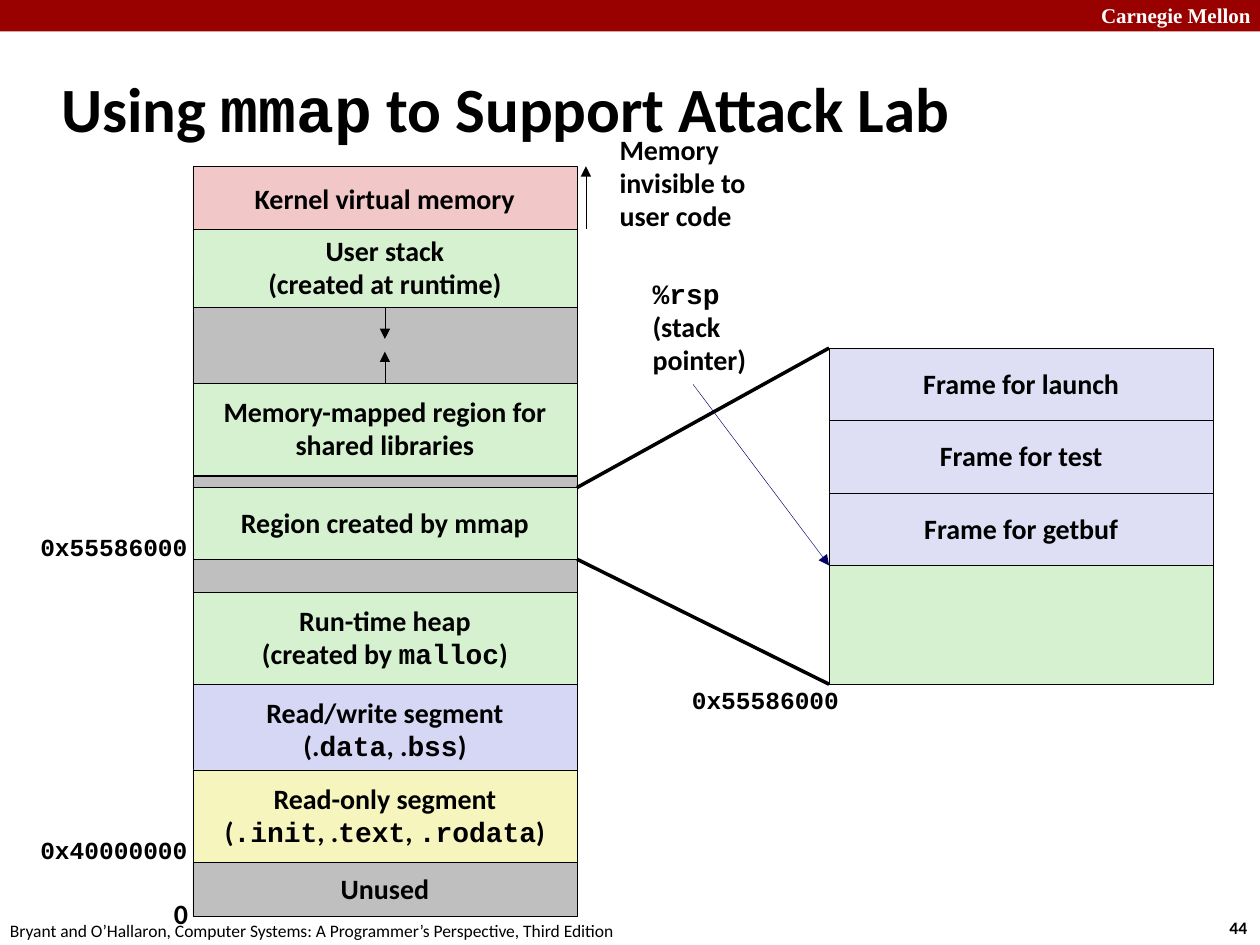
from dataclasses import dataclass
from typing import Optional

from lxml import etree
from pptx import Presentation
from pptx.dml.color import RGBColor
from pptx.enum.shapes import MSO_CONNECTOR, MSO_SHAPE
from pptx.enum.text import MSO_ANCHOR, PP_ALIGN
from pptx.oxml.ns import qn
from pptx.util import Pt

RECTANGLE = MSO_SHAPE.RECTANGLE
STRAIGHT = MSO_CONNECTOR.STRAIGHT
LEFT, CENTER, RIGHT = PP_ALIGN.LEFT, PP_ALIGN.CENTER, PP_ALIGN.RIGHT
TOP, MIDDLE = MSO_ANCHOR.TOP, MSO_ANCHOR.MIDDLE
TOP_SIDE, BOTTOM_SIDE = 0, 2


@dataclass(frozen=True)
class Theme:
    banner: str = "990000"
    white: str = "FFFFFF"
    black: str = "000000"
    navy: str = "000066"
    pink: str = "F1C7C7"
    green: str = "D5F1CF"
    gray: str = "BFBFBF"
    violet: str = "D6D6F5"
    lavender: str = "DEDFF5"
    yellow: str = "F6F5BD"
    body_font: str = "Calibri"
    code_font: str = "Courier New"
    banner_font: str = "Times New Roman"
    title_size: float = 36
    body_size: float = 16
    address_size: float = 14
    banner_size: float = 12
    footer_size: float = 10
    thin: float = 0.25
    thick: float = 2
    body_spacing: float = 0.98
    code_spacing: float = 0.94
    title_spacing: float = 0.82


THEME = Theme()


@dataclass(frozen=True)
class Block:
    name: str
    top: float
    height: float
    fill: str
    text: str = ""


@dataclass(frozen=True)
class Label:
    text: str
    left: float
    top: float
    width: float
    height: float
    size: float = THEME.body_size
    font: str = THEME.body_font
    color: str = THEME.black
    bold: bool = True
    align: PP_ALIGN = LEFT
    anchor: MSO_ANCHOR = TOP
    spacing: Optional[float] = THEME.body_spacing
    wrap: bool = False


@dataclass(frozen=True)
class Line:
    start: tuple[float, float]
    end: tuple[float, float]
    color: str = THEME.black
    width: float = THEME.thin
    arrow: bool = True


SLIDE_WIDTH, SLIDE_HEIGHT = 720, 540
MEMORY_LEFT, STACK_LEFT, COLUMN_WIDTH = 110.16, 473.76, 219.6
MEMORY_RIGHT = MEMORY_LEFT + COLUMN_WIDTH
MEMORY_CENTER = MEMORY_LEFT + COLUMN_WIDTH / 2
FRAME_TOP, FRAME_HEIGHT = 198.9, 41.4
STACK_BOTTOM = 391
REGION_TOP, REGION_HEIGHT = 278.6, 41

MEMORY_BLOCKS = [
    Block("kernel", 95, 38, THEME.pink, "Kernel virtual memory"),
    Block("mapped", 219, 52.8, THEME.green, "Memory-mapped region for\nshared libraries"),
    Block("heap", 338.4, 52.8, THEME.green, "Run-time heap\n(created by `malloc`)"),
    Block("stack gap", 157.5, 61.7, THEME.gray),
    Block("stack", 131, 44.6, THEME.green, "User stack\n(created at runtime)"),
    Block("unused", 492.6, 31.2, THEME.gray, "Unused"),
    Block("read/write", 391, 52.8, THEME.violet, "Read/write segment\n(.`data`, .`bss`)"),
    Block("read-only", 440, 52.6, THEME.yellow,
          "Read-only segment\n(`.init`, .`text`, `.rodata`)"),
    Block("heap gap", 272.2, 66.2, THEME.gray),
    Block("region", REGION_TOP, REGION_HEIGHT, THEME.green, "Region created by mmap"),
]
FRAME_BLOCKS = [
    Block(name, FRAME_TOP + index * FRAME_HEIGHT, FRAME_HEIGHT, THEME.lavender,
          f"Frame for {name}")
    for index, name in enumerate(["launch", "test", "getbuf"])
]
FREE_STACK = Block("free stack", 200, STACK_BOTTOM - 200, THEME.green)

LABELS = [
    Label("Carnegie Mellon", 622.1, -2, 103, 21.8, THEME.banner_size,
          THEME.banner_font, THEME.white, spacing=None, wrap=True),
    Label("44", 695.5, 520.6, 26.6, 19.4, THEME.footer_size, spacing=None),
    Label("Bryant and O’Hallaron, Computer Systems: A Programmer’s Perspective, Third Edition",
          -1.4, 522, 365.8, 19.4, THEME.footer_size, bold=False, spacing=None),
    Label("Using `mmap` to Support Attack Lab", 28, 35.2, 597.6, 59.8, THEME.title_size,
          anchor=MIDDLE, spacing=THEME.title_spacing, wrap=True),
    Label("0", 92.2, 509.8, 22.3, 26.6),
    Label("`%rsp`\n(stack\npointer)", 365.8, 156.2, 68.4, 63.4),
    Label("Memory\ninvisible to\nuser code", 347, 73.4, 90.7, 64),
] + [
    Label(f"`{address}`", left, top, 98.6, 23.8, THEME.address_size, align=RIGHT)
    for address, left, top in [
        ("0x55586000", 388.1, 389.5),
        ("0x40000000", 15.8, 475.2),
        ("0x55586000", 15.8, 301.7),
    ]
]

LINES = [
    Line((STACK_LEFT, FRAME_TOP), (MEMORY_RIGHT, REGION_TOP),
         width=THEME.thick, arrow=False),
    Line((STACK_LEFT, STACK_BOTTOM), (MEMORY_RIGHT, REGION_TOP + REGION_HEIGHT),
         width=THEME.thick, arrow=False),
    Line((334.8, 131), (334.8, 95)),
    Line((396, 219.6), (STACK_LEFT, FRAME_TOP + 3 * FRAME_HEIGHT), THEME.navy),
]


def write_text(text_frame, label: Label) -> None:
    text_frame.word_wrap = label.wrap
    text_frame.vertical_anchor = label.anchor
    text_frame.text = label.text
    for paragraph in text_frame.paragraphs:
        pieces = paragraph.text.split("`")
        paragraph.text = ""
        paragraph.alignment = label.align
        code_only = len(pieces) == 3 and not pieces[0] and not pieces[2]
        if label.spacing:
            paragraph.line_spacing = THEME.code_spacing if code_only else label.spacing
        for index, piece in enumerate(pieces):
            if not piece:
                continue
            run = paragraph.add_run()
            run.text = piece
            run.font.name = THEME.code_font if index % 2 else label.font
            run.font.size = Pt(label.size)
            run.font.bold = label.bold
            run.font.color.rgb = RGBColor.from_string(label.color)


def add_label(slide, label: Label) -> None:
    box = slide.shapes.add_textbox(Pt(label.left), Pt(label.top),
                                   Pt(label.width), Pt(label.height))
    write_text(box.text_frame, label)


def add_rectangle(slide, left: float, top: float, width: float, height: float, fill: str):
    shape = slide.shapes.add_shape(RECTANGLE, Pt(left), Pt(top), Pt(width), Pt(height))
    shape.shadow.inherit = False
    shape.fill.solid()
    shape.fill.fore_color.rgb = RGBColor.from_string(fill)
    shape.line.fill.background()
    return shape


def add_block(slide, block: Block, left: float):
    shape = add_rectangle(slide, left, block.top, COLUMN_WIDTH, block.height, block.fill)
    shape.line.color.rgb = RGBColor.from_string(THEME.black)
    shape.line.width = Pt(THEME.thin)
    if block.text:
        write_text(shape.text_frame, Label(block.text, left, block.top, COLUMN_WIDTH,
                                           block.height, align=CENTER, anchor=MIDDLE))
    return shape


def add_line(slide, line: Line):
    points = [Pt(value) for value in (*line.start, *line.end)]
    connector = slide.shapes.add_connector(STRAIGHT, *points)
    connector.line.color.rgb = RGBColor.from_string(line.color)
    connector.line.width = Pt(line.width)
    if line.arrow:
        etree.SubElement(connector.line._get_or_add_ln(), qn("a:tailEnd"), type="triangle")
    etree.SubElement(connector._element.spPr, qn("a:effectLst"))
    return connector


def main() -> None:
    presentation = Presentation()
    presentation.slide_width, presentation.slide_height = Pt(SLIDE_WIDTH), Pt(SLIDE_HEIGHT)
    slide = presentation.slides.add_slide(presentation.slide_layouts[6])
    add_rectangle(slide, 0, 0, SLIDE_WIDTH, 18, THEME.banner)
    add_block(slide, FREE_STACK, STACK_LEFT)
    memory = {block.name: add_block(slide, block, MEMORY_LEFT) for block in MEMORY_BLOCKS}
    for block in FRAME_BLOCKS:
        add_block(slide, block, STACK_LEFT)
    for label in LABELS:
        add_label(slide, label)
    for line in LINES:
        add_line(slide, line)
    for name, side, start, end in [("stack", BOTTOM_SIDE, 175.6, 193.7),
                                   ("mapped", TOP_SIDE, 219, 200.9)]:
        growth = add_line(slide, Line((MEMORY_CENTER, start), (MEMORY_CENTER, end)))
        growth.begin_connect(memory[name], side)
    presentation.save("out.pptx")


if __name__ == "__main__":
    main()
